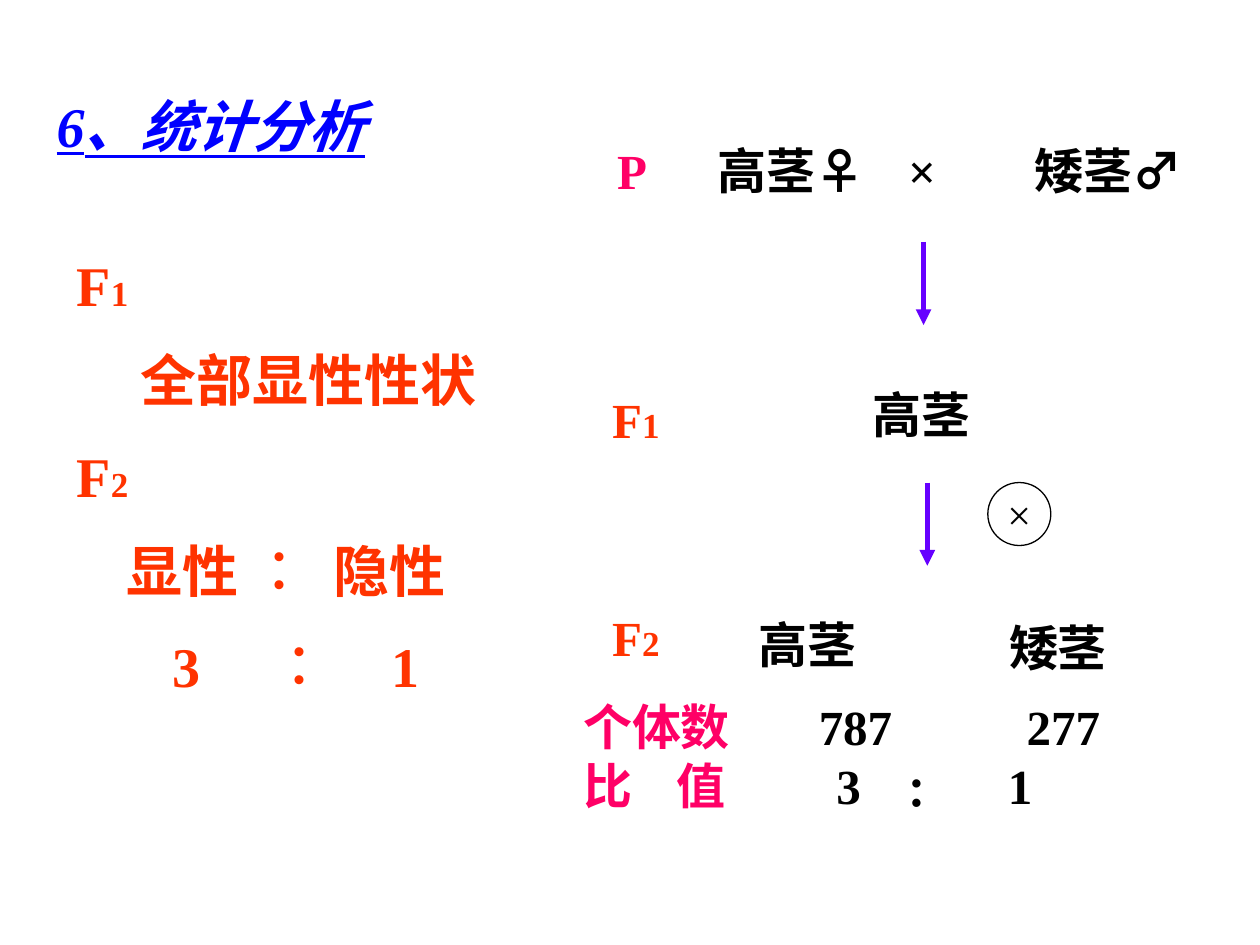
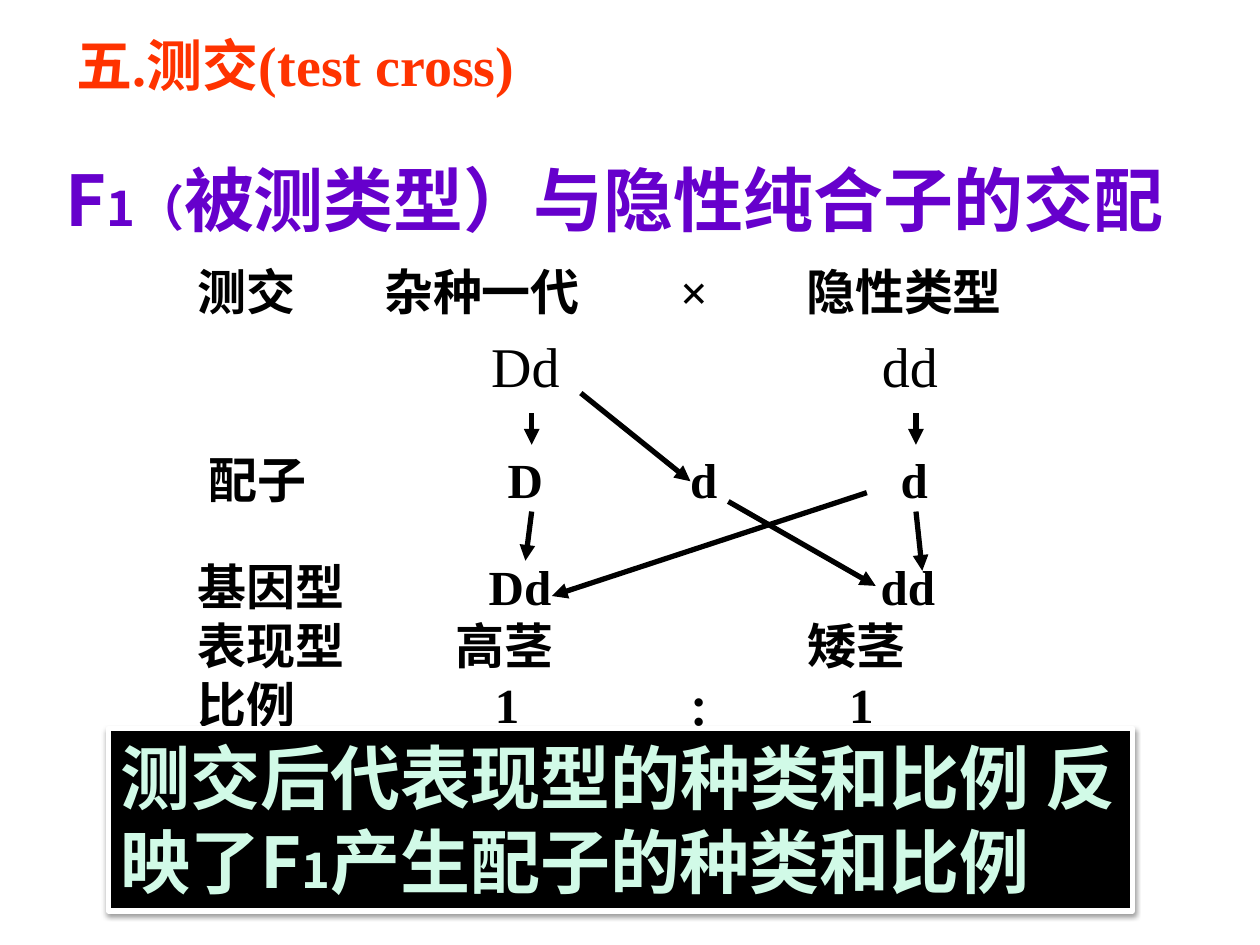
from lxml import etree
from pptx import Presentation
from pptx.dml.color import RGBColor as Rgb
from pptx.enum.shapes import MSO_CONNECTOR as Link, MSO_SHAPE as Kind
from pptx.enum.text import MSO_ANCHOR as Anchor, PP_ALIGN as Align
from pptx.oxml import parse_xml
from pptx.oxml.ns import nsdecls, qn
from pptx.util import Inches, Pt

HUE = {
    "black": "000000", "white": "FFFFFF", "pink": "FF0066", "red": "FF3300",
    "blue": "0000FF", "violet": "6600FF", "purple": "6600CC", "mint": "D1FAE7",
}
SERIF, SANS = "Times New Roman", "Noto Sans CJK JP"

deck = Presentation()
deck.slide_width, deck.slide_height = Inches(10), Inches(7.5)
CELL = deck.slide_width // 100  # grid of 100 columns by 75 rows


def write(shape, size, paras, font=SERIF, bold=True):
    """Fill a shape; each paragraph is (tab stops in cells, runs of text, colour, optional size)."""
    frame = shape.text_frame
    frame.word_wrap = True
    frame.vertical_anchor = Anchor.TOP
    for i, (tabs, runs) in enumerate(paras):
        para = frame.paragraphs[0] if i == 0 else frame.add_paragraph()
        para.alignment = Align.LEFT
        if tabs:
            stops = etree.SubElement(para._p.get_or_add_pPr(), qn("a:tabLst"))
            for tab in tabs:
                etree.SubElement(stops, qn("a:tab"), pos=str(int(tab * CELL)), algn="l")
        for text, hue, *small in runs:
            run = para.add_run()
            run.text = text
            run.font.size = Pt(small[0] if small else size)
            run.font.name = font
            run.font.bold = bold
            run.font.color.rgb = Rgb.from_string(HUE[hue])
            if font == SANS:
                etree.SubElement(run.font._element, qn("a:ea"), typeface=SANS)


def arrow(slide, hue, *ends):
    line = slide.shapes.add_connector(Link.STRAIGHT, *(int(end * CELL) for end in ends))
    line.line.color.rgb = Rgb.from_string(HUE[hue])
    line.line.width = Pt(3)
    etree.SubElement(line.line._get_or_add_ln(), qn("a:tailEnd"), type="triangle")
    etree.SubElement(line._element.spPr, qn("a:effectLst"))


stats, test = (deck.slides.add_slide(deck.slide_layouts[6]) for _ in range(2))

# Text: slide, left, top, width, height, size, paragraphs, then font and weight
boxes = [
    (stats, 48, 10.7, 52, 5.7, 28, [
        ([8, 23.1, 33.1], [("P", "pink"), ("\t高茎♀\t×\t矮茎♂", "black")])]),
    (stats, 68.3, 30, 10.8, 5.7, 28, [([], [("高茎", "black")])]),
    (stats, 59.2, 48.3, 10.8, 5.7, 28, [([], [("高茎", "black")])]),
    (stats, 79.1, 48.5, 10.8, 5.7, 28, [([], [("矮茎", "black")])]),
    (stats, 45.3, 54.8, 52.7, 10.3, 28, [
        ([18.7, 35.2], [("个体数", "pink"), ("\t787\t277", "black")]),
        ([7.4, 20.1, 25.9, 33.7], [("比\t值", "pink"), ("\t3\t∶\t1", "black")])]),
    (stats, 3.5, 6.8, 29.1, 6.3, 32, [([], [("6、统计分析", "blue")])]),
    (stats, 5.1, 19.4, 37, 38.4, 32, [
        ([], [("F", "red"), ("1", "red", 20)]),
        ([5.1], [("\t全部显性性状", "red")]),
        ([], [("F", "red"), ("2", "red", 20)]),
        ([4, 13.9, 20.4], [("\t显性\t︰\t隐性", "red")]),
        ([7.6, 15.5, 25], [("\t3\t︰\t1", "red")])]),
    (test, 5.1, 1.9, 38.3, 6.3, 32, [([], [("五.测交(test cross)", "red")])]),
    (test, 4.2, 11.9, 90.2, 7.7, 40, [
        ([], [("F", "purple"), ("1（", "purple", 28),
              ("被测类型）与隐性纯合子的交配", "purple")])], SANS),
    (test, 14.7, 20.3, 69.5, 5.7, 28, [
        ([14.8, 38.3, 48.3], [("测交\t杂种一代\t×\t隐性类型", "black")])]),
    (test, 38, 25.8, 42, 6.3, 32, [([31], [("Dd\tdd", "black")])], SERIF, False),
    (test, 15.6, 35.2, 65.4, 5.7, 28, [
        ([23.7, 38.2, 54.9], [("配子\tD\td\td", "black")])]),
    (test, 14.7, 43.7, 69.5, 14.9, 28, [
        ([23.1, 54.2], [("基因型\tDd\tdd", "black")]),
        ([20.5, 48.4], [("表现型\t高茎\t矮茎", "black")]),
        ([23.6, 39.2, 51.7], [("比例\t1\t∶\t1", "black")])]),
]
for mark, top in (("1", 30.4), ("2", 47.7)):
    boxes.append((stats, 47.6, top, 7.5, 5.7, 28,
                  [([], [("F", "red"), (mark, "red", 20)])]))

for slide, left, top, wide, high, *words in boxes:
    area = (int(n * CELL) for n in (left, top, wide, high))
    box = slide.shapes.add_textbox(*area)
    write(box, *words)
    if words[1][0][1][0][1] == "blue":
        head = box.text_frame.paragraphs[0].runs[0].font
        head.italic = head.underline = True
    for para in box.text_frame.paragraphs[1:]:
        if words[0] == 32:
            para.space_before = Pt(16)

# Cross on the first slide, with its selfing sign
for x, y in ((73.3, 19.2), (73.6, 38.3)):
    arrow(stats, "violet", x, y, x, y + 6.6)
self = stats.shapes.add_shape(Kind.OVAL, *(int(n * CELL) for n in (78.4, 38.3, 5, 5)))
self.shadow.inherit = False
self.fill.solid()
self.fill.fore_color.rgb = Rgb.from_string(HUE["white"])
self.line.color.rgb = Rgb.from_string(HUE["black"])
self.line.width = Pt(0.75)
write(self, 24, [([], [("×", "black")])], SERIF, False)
self.text_frame.word_wrap = False
self.text_frame.vertical_anchor = Anchor.MIDDLE
self.text_frame.paragraphs[0].alignment = Align.CENTER

# Gametes and offspring of the test cross
for ends in (
    (42.2, 32.8, 42.2, 35.3), (46.1, 31.2, 54.8, 38.2), (72.7, 32.8, 72.7, 35.3),
    (42.2, 40.6, 41.7, 44.5), (68.8, 39.1, 43.8, 47.3), (72.7, 40.6, 73.2, 45.3),
    (57.8, 39.8, 69.5, 46.5),
):
    arrow(test, "black", *ends)

sum_up = test.shapes.add_shape(Kind.RECTANGLE, *(int(n * CELL) for n in (8.6, 57.8, 81.3, 14.5)))
sum_up.fill.solid()
sum_up.fill.fore_color.rgb = Rgb.from_string(HUE["black"])
sum_up.line.color.rgb = Rgb.from_string(HUE["white"])
sum_up.line.width = Pt(3)
sum_up._element.spPr.append(parse_xml(
    f'<a:effectLst {nsdecls("a")}><a:outerShdw blurRad="{Pt(3.1)}" dist="{Pt(1.6)}" '
    f'dir="5400000" rotWithShape="0"><a:srgbClr val="{HUE["black"]}">'
    '<a:alpha val="38000"/></a:srgbClr></a:outerShdw></a:effectLst>'))
write(sum_up, 40, [([], [
    ("测交后代表现型的种类和比例 反映了F", "mint"), ("1", "mint", 28),
    ("产生配子的种类和比例", "mint")])], SANS)

deck.save("out.pptx")
